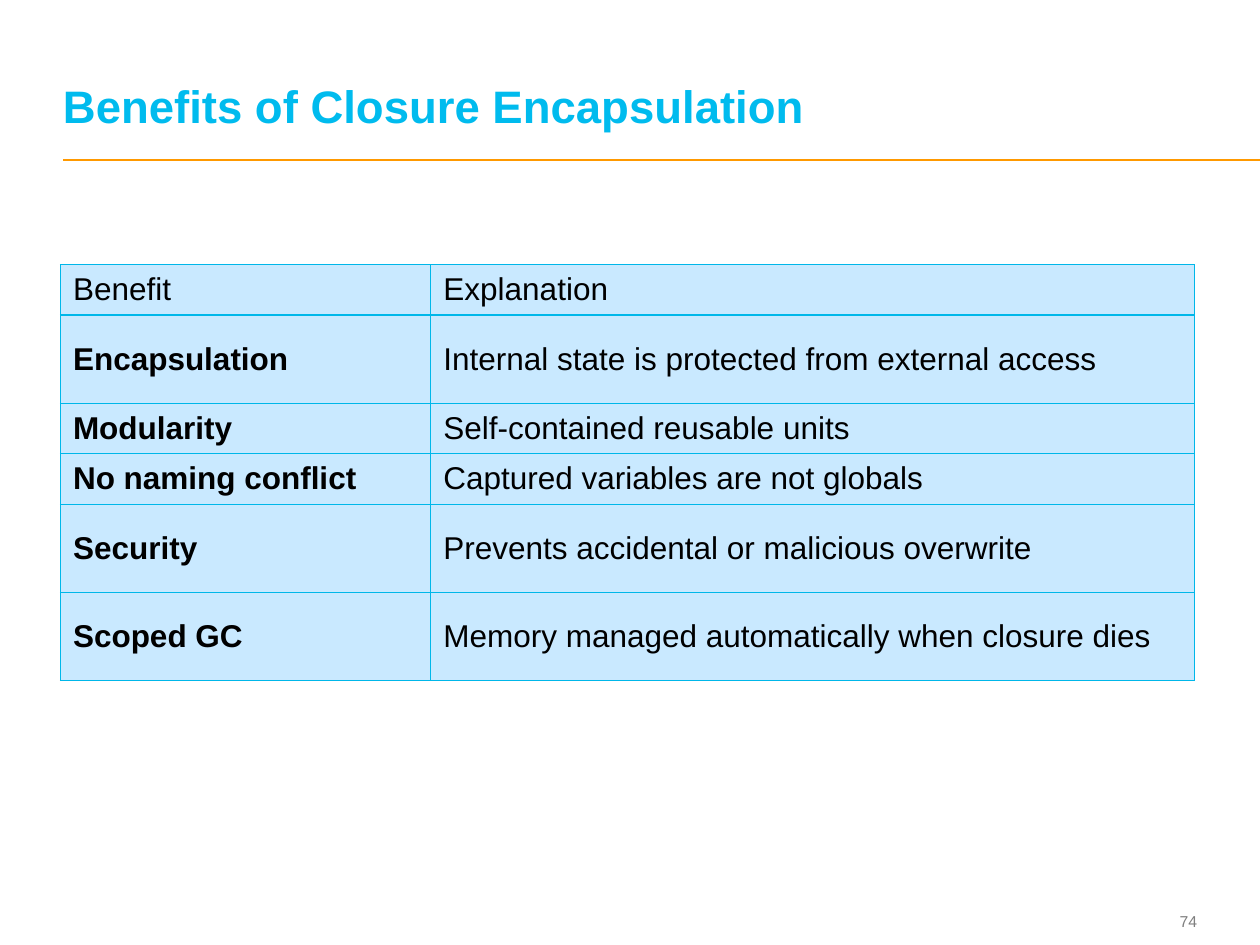
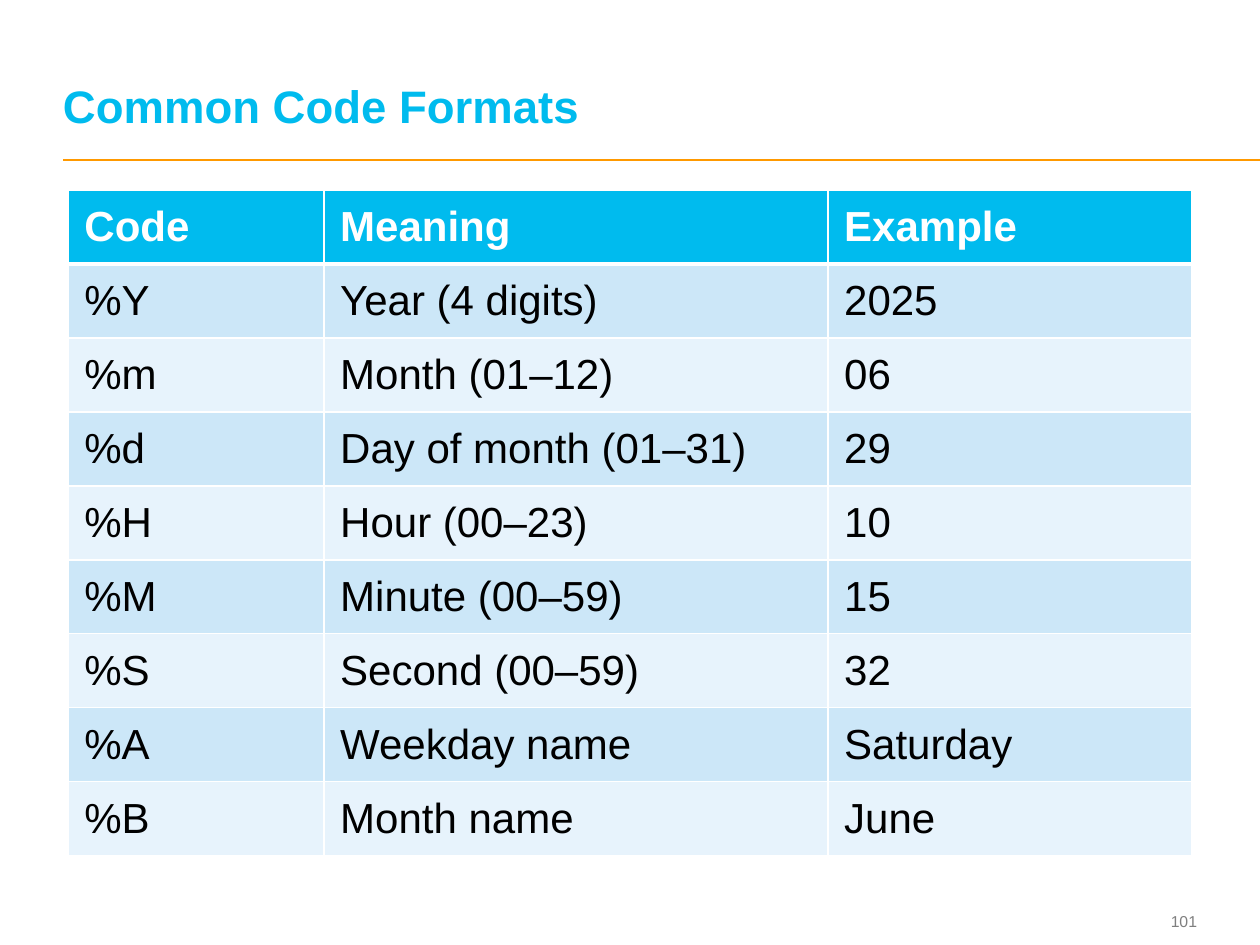
from lxml import etree
from pptx import Presentation
from pptx.dml.color import RGBColor
from pptx.enum.shapes import MSO_CONNECTOR
from pptx.enum.text import MSO_ANCHOR, PP_ALIGN
from pptx.oxml.ns import qn
from pptx.util import Inches, Pt

STRAIGHT = MSO_CONNECTOR.STRAIGHT
MIDDLE, BOTTOM = MSO_ANCHOR.MIDDLE, MSO_ANCHOR.BOTTOM
LEFT, RIGHT = PP_ALIGN.LEFT, PP_ALIGN.RIGHT

FONT = "Arial"
COLORS = {
    "accent": "00BBEE",
    "rule": "FF9900",
    "number": "7F7F7F",
    "text": "000000",
    "white": "FFFFFF",
    "grid": "00B7E9",
    "benefit": "C9E9FF",
    "band_dark": "CCE7F8",
    "band_light": "E7F3FC",
}

BENEFITS = [
    ("Benefit", "Explanation"),
    ("Encapsulation", "Internal state is protected from external access"),
    ("Modularity", "Self-contained reusable units"),
    ("No naming conflict", "Captured variables are not globals"),
    ("Security", "Prevents accidental or malicious overwrite"),
    ("Scoped GC", "Memory managed automatically when closure dies"),
]
FORMAT_CODES = [
    ("Code", "Meaning", "Example"),
    ("%Y", "Year (4 digits)", "2025"),
    ("%m", "Month (01–12)", "06"),
    ("%d", "Day of month (01–31)", "29"),
    ("%H", "Hour (00–23)", "10"),
    ("%M", "Minute (00–59)", "15"),
    ("%S", "Second (00–59)", "32"),
    ("%A", "Weekday name", "Saturday"),
    ("%B", "Month name", "June"),
]


def rgb(name):
    return RGBColor.from_string(COLORS[name])


def write(frame, text, size, color="text", bold=False, align=LEFT, line_spacing=None):
    paragraph = frame.paragraphs[0]
    paragraph.alignment = align
    if line_spacing:
        paragraph.line_spacing = Pt(line_spacing)
    run = paragraph.add_run()
    run.text = text
    run.font.name = FONT
    run.font.size = Pt(size)
    run.font.bold = bold
    run.font.color.rgb = rgb(color)


def add_text(slide, box, text, anchor, **style):
    frame = slide.shapes.add_textbox(*map(Inches, box)).text_frame
    frame.word_wrap = True
    frame.vertical_anchor = anchor
    frame.margin_left = frame.margin_right = 0
    frame.margin_top = frame.margin_bottom = 0
    write(frame, text, **style)


def add_base_slide(prs, title, number):
    """Add a slide with the shared rule, page number and title."""
    slide = prs.slides.add_slide(prs.slide_layouts[6])
    rule = slide.shapes.add_connector(
        STRAIGHT, Inches(0.5), Inches(1.27), Inches(10), Inches(1.27))
    rule.line.color.rgb = rgb("rule")
    rule.line.width = Pt(1)
    etree.SubElement(rule._element.spPr, qn("a:effectLst"))
    add_text(slide, (8.91, 7.18, 0.59, 0.27), str(number), MIDDLE,
             size=9, color="number", align=RIGHT)
    add_text(slide, (0.5, 0.19, 8.97, 0.86), title, BOTTOM,
             size=26, color="accent", bold=True, line_spacing=26)
    return slide


def set_borders(cell, color, **widths):
    """Draw the L, R, T and B borders, given in that order in points."""
    properties = cell._tc.get_or_add_tcPr()
    for side, width in widths.items():
        line = etree.SubElement(properties, qn(f"a:ln{side}"), w=str(Pt(width)))
        fill = etree.SubElement(line, qn("a:solidFill"))
        etree.SubElement(fill, qn("a:srgbClr"), val=COLORS[color])


def add_grid(slide, box, rows, col_widths, row_heights, style_cell, margins=(0.1, 0.05)):
    """Add a table; style_cell(row, col) gives fill, border and text settings."""
    table = slide.shapes.add_table(
        len(rows), len(col_widths), *map(Inches, box)).table
    for column, width in zip(table.columns, col_widths):
        column.width = Inches(width)
    for row, height in zip(table.rows, row_heights):
        row.height = Inches(height)
    side, edge = map(Inches, margins)
    for r, texts in enumerate(rows):
        for c, text in enumerate(texts):
            cell = table.cell(r, c)
            fill, borders, text_style = style_cell(r, c)
            cell.vertical_anchor = MIDDLE
            cell.margin_left = cell.margin_right = side
            cell.margin_top = cell.margin_bottom = edge
            set_borders(cell, **borders)
            cell.fill.solid()
            cell.fill.fore_color.rgb = rgb(fill)
            write(cell.text_frame, text, **text_style)


def benefit_style(row, col):
    borders = dict(color="grid", L=0.75, R=0.75, T=0.75, B=0.75)
    return "benefit", borders, dict(size=18, bold=row > 0 and col == 0)


def format_code_style(row, col):
    header = row == 0
    borders = dict(color="white", L=1, R=1,
                   T=3 if row == 1 else 1, B=3 if header else 1)
    if header:
        return "accent", borders, dict(size=24, color="white", bold=True)
    return "band_dark" if row % 2 else "band_light", borders, dict(size=24)


def add_benefits_slide(prs):
    slide = add_base_slide(prs, "Benefits of Closure Encapsulation", 74)
    add_grid(slide, (0.48, 2.1, 9, 3.3), BENEFITS, (2.94, 6.06),
             (0.4, 0.7, 0.4, 0.4, 0.7, 0.7), benefit_style)


def add_format_codes_slide(prs):
    slide = add_base_slide(prs, "Common Code Formats", 101)
    box = (0.54, 1.51, 8.92, 5.28)
    count = len(FORMAT_CODES)
    add_grid(slide, box, FORMAT_CODES, (2.03, 4, 2.89),
             [box[3] / count] * count, format_code_style, margins=(0.13, 0.07))


def main():
    prs = Presentation()
    prs.slide_width, prs.slide_height = Inches(10), Inches(7.5)
    add_benefits_slide(prs)
    add_format_codes_slide(prs)
    prs.save("out.pptx")


if __name__ == "__main__":
    main()
